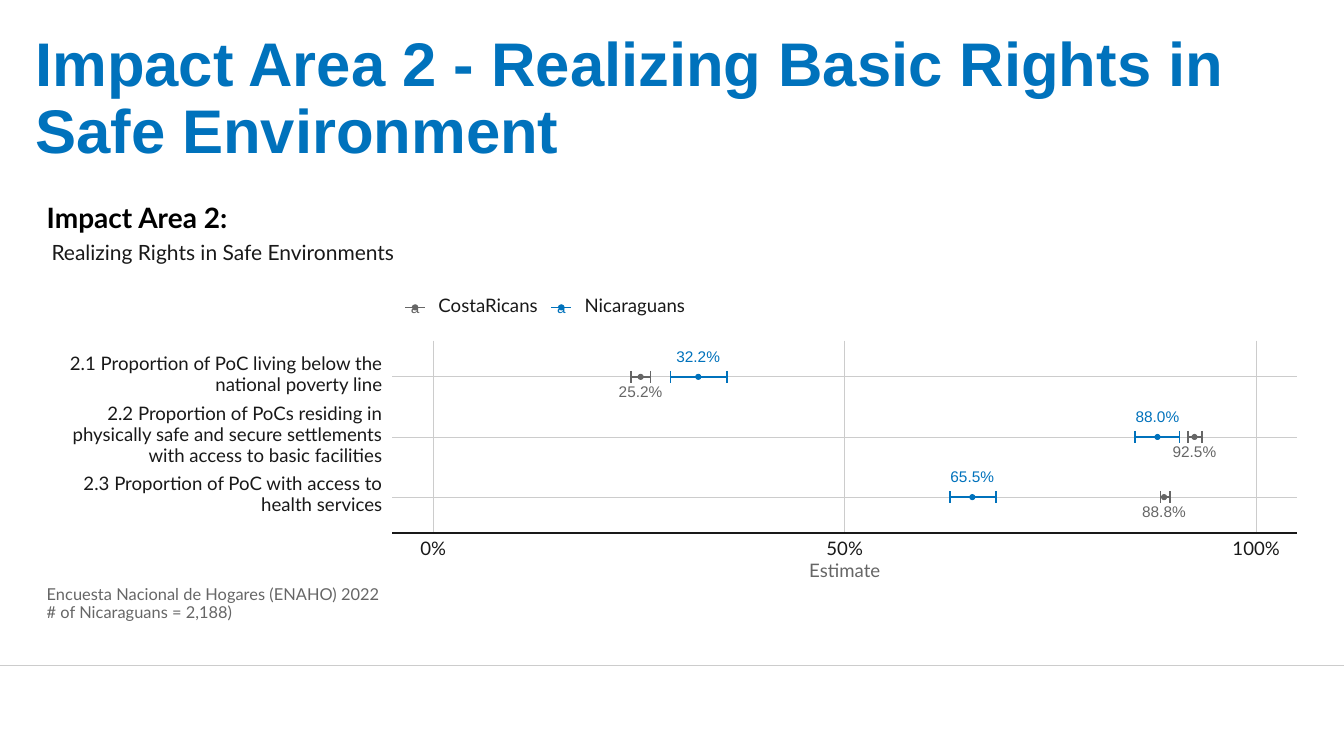
from collections import namedtuple

from lxml import etree
from pptx import Presentation
from pptx.dml.color import RGBColor
from pptx.enum import shapes, text
from pptx.oxml import ns
from pptx.util import Pt

BLUE = RGBColor(0x00, 0x72, 0xBC)
GREY = RGBColor(0x66, 0x66, 0x66)
INK = RGBColor(0x19, 0x19, 0x19)
BLACK = RGBColor(0x00, 0x00, 0x00)
RULE = RGBColor(0xCC, 0xCC, 0xCC)

LEFT, CENTER, RIGHT = text.PP_ALIGN.LEFT, text.PP_ALIGN.CENTER, text.PP_ALIGN.RIGHT

Box = namedtuple("Box", "left top width height")
Estimate = namedtuple("Estimate", "value low high")
Group = namedtuple("Group", "name color label_offset estimates")

INDICATORS = [
    ["2.1 Proportion of PoC living below the", "national poverty line"],
    ["2.2 Proportion of PoCs residing in", "physically safe and secure settlements",
     "with access to basic facilities"],
    ["2.3 Proportion of PoC with access to", "health services"],
]
GROUPS = [
    Group("CostaRicans", GREY, 11.5, [
        Estimate(25.2, 24.0, 26.4), Estimate(92.5, 91.7, 93.4), Estimate(88.8, 88.4, 89.5)]),
    Group("Nicaraguans", BLUE, -13.7, [
        Estimate(32.2, 28.8, 35.7), Estimate(88.0, 85.3, 90.7), Estimate(65.5, 62.8, 68.4)]),
]
AXIS_MIN, AXIS_MAX = -5, 105
ROW_PADDING = 0.6


def add_text(parts, box, lines, size, color, align=LEFT, font="Lato", bold=False,
             spacing=None, anchor=text.MSO_ANCHOR.MIDDLE):
    label = parts.add_textbox(*(Pt(length) for length in box))
    frame = label.text_frame
    frame.word_wrap = True
    frame.vertical_anchor = anchor
    frame.margin_left = frame.margin_right = frame.margin_top = frame.margin_bottom = 0
    frame.text = "\v".join(lines)
    para = frame.paragraphs[0]
    para.alignment = align
    para.line_spacing = spacing or Pt(size)
    para.font.size = Pt(size)
    para.font.name = font
    para.font.bold = bold
    para.font.color.rgb = color


def add_label(parts, x, y, wording, size, color, font="Lato"):
    add_text(parts, Box(x - 40, y - 5, 80, 10), [wording], size, color, CENTER, font)


def add_line(parts, x1, y1, x2, y2, color, weight):
    line = parts.add_connector(shapes.MSO_CONNECTOR.STRAIGHT, Pt(x1), Pt(y1), Pt(x2), Pt(y2))
    line.line.color.rgb = color
    line.line.width = Pt(weight)
    etree.SubElement(line._element.spPr, ns.qn("a:effectLst"))


def add_dot(parts, x, y, color):
    size = 3.6
    dot = parts.add_shape(shapes.MSO_SHAPE.OVAL, Pt(x - size / 2), Pt(y - size / 2),
                          Pt(size), Pt(size))
    dot.shadow.inherit = False
    dot.fill.solid()
    dot.fill.fore_color.rgb = color
    dot.line.color.rgb = color
    dot.line.width = Pt(0.71)


def add_interval(parts, x, low, high, y, color):
    add_line(parts, low, y, high, y, color, 1.07)
    for end in (low, high):
        add_line(parts, end, y - 4.3, end, y + 4.3, color, 1.07)
    add_dot(parts, x, y, color)


def draw_title(parts, box):
    add_text(parts, box, ["Impact Area 2 - Realizing Basic Rights in Safe Environment"],
             44, BLUE, font="Arial", bold=True, spacing=0.9, anchor=text.MSO_ANCHOR.BOTTOM)


def draw_heading(parts, box):
    add_text(parts, Box(box.left, box.top, box.width, 18), ["Impact Area 2:"],
             20, BLACK, bold=True)
    add_text(parts, Box(box.left + 3.4, box.top + 26, box.width - 3.4, 14),
             ["Realizing Rights in Safe Environments"], 15, INK)


def draw_legend(parts, box):
    step = box.width / len(GROUPS)
    middle = box.top + box.height / 2
    for index, group in enumerate(GROUPS):
        left = box.left + index * step
        add_dot(parts, left + 7.2, middle, group.color)
        add_line(parts, left, middle, left + 14.4, middle, group.color, 1.07)
        add_label(parts, left + 7.2, middle + 0.7, "a", 11, group.color, "Arial")
        add_text(parts, Box(left + 23.8, box.top - 0.6, step - 23.8, box.height),
                 [group.name], 13.3, INK)


def draw_plot(parts, box):
    right, bottom = box.left + box.width, box.top + box.height
    row_height = box.height / (len(INDICATORS) - 1 + 2 * ROW_PADDING)
    rows = [box.top + (index + ROW_PADDING) * row_height for index in range(len(INDICATORS))]

    def at(value):
        return box.left + (value - AXIS_MIN) / (AXIS_MAX - AXIS_MIN) * box.width

    for y, lines in zip(rows, INDICATORS):
        add_line(parts, box.left, y, right, y, RULE, 0.53)
        add_text(parts, Box(box.left - 247, y - 21.8, 240, 40), lines,
                 13.3, INK, RIGHT, spacing=Pt(15))
    for tick in (0, 50, 100):
        add_line(parts, at(tick), box.top, at(tick), bottom, RULE, 0.53)
        add_label(parts, at(tick), bottom + 12.2, f"{tick}%", 13.3, INK)
    for group in GROUPS:
        for y, estimate in zip(rows, group.estimates):
            add_interval(parts, at(estimate.value), at(estimate.low), at(estimate.high),
                         y, group.color)
            add_label(parts, at(estimate.value), y + group.label_offset,
                      f"{estimate.value:.1f}%", 11, group.color, "Arial")
    add_line(parts, box.left, bottom, right, bottom, INK, 1.07)
    add_label(parts, box.left + box.width / 2, bottom + 27.3, "Estimate", 13.3, GREY)


def draw_source(parts, box):
    add_text(parts, box, ["Encuesta Nacional de Hogares (ENAHO) 2022",
                          "# of Nicaraguans = 2,188)"], 11.7, GREY, spacing=Pt(13))


def draw_footer(parts, box):
    add_line(parts, box.left, box.top, box.left + box.width, box.top, RULE, 0.75)


deck = Presentation()
deck.slide_width, deck.slide_height = Pt(960), Pt(540)
page = deck.slides.add_slide(deck.slide_layouts[6])
draw_footer(page.shapes, Box(0, 475.2, 960, 64.8))
draw_title(page.shapes, Box(25.2, 21.6, 909.6, 97.2))
chart = page.shapes.add_group_shape().shapes
draw_plot(chart, Box(280.1, 243.4, 646.6, 137.5))
draw_legend(chart, Box(289.4, 213.6, 208.8, 12))
draw_heading(chart, Box(33.4, 148.3, 300, 40))
draw_source(chart, Box(33.4, 418.4, 280, 26))
deck.save("out.pptx")
